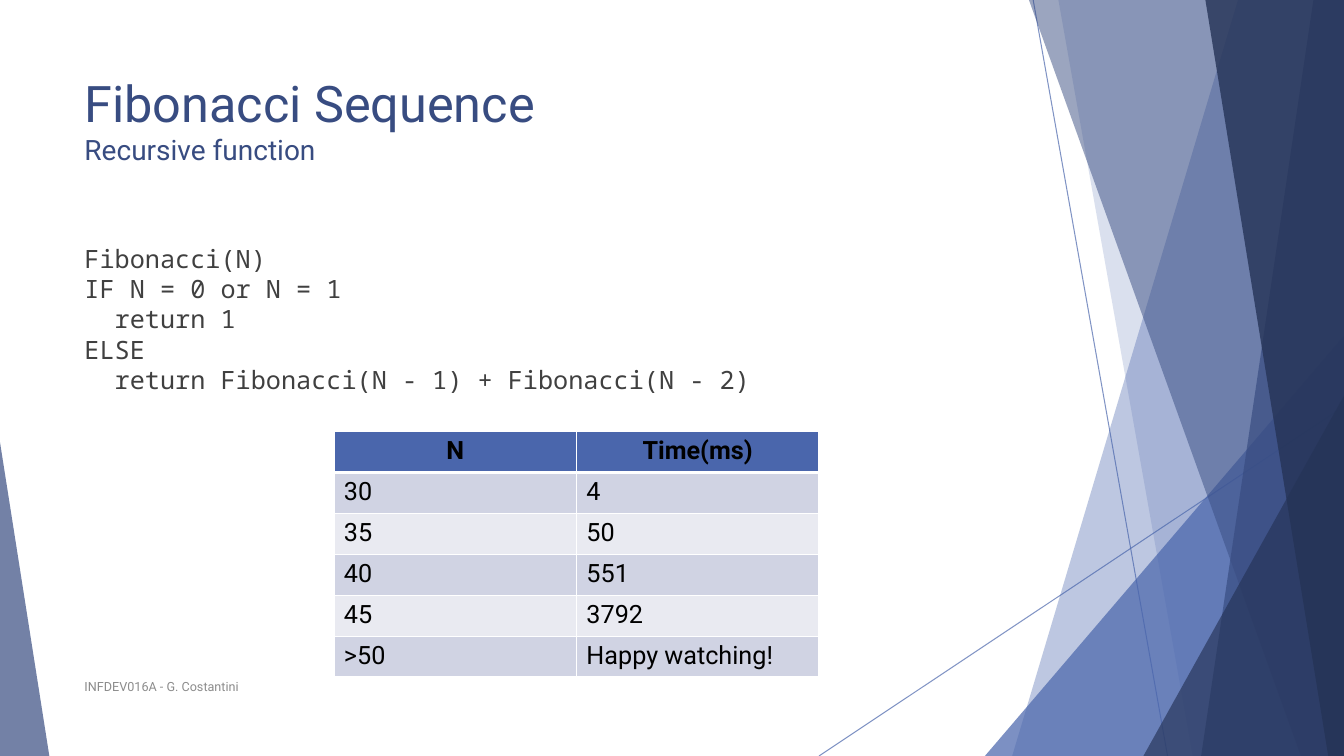
from dataclasses import dataclass

from lxml.etree import SubElement
from pptx import Presentation
from pptx.dml.color import RGBColor
from pptx.enum.shapes import MSO_CONNECTOR as Connector, MSO_SHAPE as Preset
from pptx.enum.text import MSO_ANCHOR as Anchor, PP_ALIGN as Align
from pptx.oxml.ns import qn
from pptx.util import Pt


@dataclass(frozen=True)
class Theme:
    accent: str = "4A66AC"
    dark: str = "384C81"
    deep: str = "253356"
    body: str = "404040"
    muted: str = "8C8C8C"
    black: str = "000000"
    white: str = "FFFFFF"
    bands: tuple = ("D0D3E3", "E9EAF1")
    sans: str = "Roboto"
    mono: str = "Noto Sans Mono"
    title_size: int = 36
    subtitle_size: int = 20
    text_size: int = 18
    footer_size: int = 9


theme = Theme()
PX = 9525
WIDTH, HEIGHT = 1280, 720

TITLE = [("Fibonacci Sequence", theme.title_size), ("Recursive function", theme.subtitle_size)]
CODE = [
    "Fibonacci(N)",
    "IF N = 0 or N = 1",
    "  return 1",
    "ELSE",
    "  return Fibonacci(N - 1) + Fibonacci(N - 2)",
]
FOOTER = "INFDEV016A - G. Costantini"
TIMINGS = [
    ("N", "Time(ms)"),
    ("30", "4"),
    ("35", "50"),
    ("40", "551"),
    ("45", "3792"),
    (">50", "Happy watching!"),
]
TEXTS = [
    ((71, 64, 902, 138), TITLE, theme.sans, theme.dark, Anchor.TOP),
    ((71, 227, 902, 407), [(line, theme.text_size) for line in CODE], theme.mono, theme.body, Anchor.TOP),
    ((71, 635, 661, 38), [(FOOTER, theme.footer_size)], theme.sans, theme.muted, Anchor.MIDDLE),
]
TABLE_LEFT, TABLE_TOP, COLUMN_WIDTH, ROW_HEIGHT = 318, 411, 231, 39

LINES = [(984, 0, 1112, HEIGHT), (WIDTH, 387, 780, HEIGHT)]
FACETS = [
    ("band", (1179, 964), theme.accent, 36),
    ("band", (1008, 1136), theme.accent, 20),
    ("triangle", (938, 320, 342, 400, 1), theme.accent, 72),
    ("band", (980, 1239), theme.dark, 50),
    ("band", (1251, 1144), theme.dark, 70),
    ("band", (1148, 1265), theme.deep, 80),
    ("triangle", (1089, 377, 191, 343, 1), theme.deep, 66),
    ("triangle", (0, 421, 47, 299, 0), theme.dark, 70),
]


def emu(*lengths):
    return [length * PX for length in lengths]


def rgb(value):
    return RGBColor.from_string(value)


def apply(target, values):
    for name, value in values.items():
        setattr(target, name, value)


def set_opacity(shape, percent):
    for color in shape._element.spPr.iter(qn("a:srgbClr")):
        SubElement(color, qn("a:alpha"), val=str(percent * 1000))


def add_line(slide, ends):
    line = slide.shapes.add_connector(Connector.STRAIGHT, *emu(*ends))
    line.line.color.rgb = rgb(theme.accent)
    line.line.width = Pt(0.75)
    set_opacity(line, 70)
    SubElement(line._element.spPr, qn("a:effectLst"))


def add_facet(slide, kind, geometry, color, opacity):
    if kind == "band":
        top_x, bottom_x = geometry
        builder = slide.shapes.build_freeform(top_x, 0, scale=PX)
        builder.add_line_segments([(WIDTH, 0), (WIDTH, HEIGHT), (bottom_x, HEIGHT)])
        shape = builder.convert_to_shape()
    else:
        *box, apex = geometry
        shape = slide.shapes.add_shape(Preset.ISOSCELES_TRIANGLE, *emu(*box))
        shape.adjustments[0] = apex
    shape.shadow.inherit = False
    shape.fill.solid()
    shape.fill.fore_color.rgb = rgb(color)
    shape.line.fill.background()
    set_opacity(shape, opacity)


def add_run(paragraph, text, color, **values):
    run = paragraph.add_run()
    run.text = text
    apply(run.font, values)
    run.font.color.rgb = rgb(color)


def add_text(slide, box, lines, font, color, anchor):
    frame = slide.shapes.add_textbox(*emu(*box)).text_frame
    apply(frame, {"word_wrap": True, "vertical_anchor": anchor})
    paragraph = frame.paragraphs[0]
    for index, (text, size) in enumerate(lines):
        if index:
            paragraph.add_line_break()
        add_run(paragraph, text, color, name=font, size=Pt(size))


def add_borders(cell, widths):
    properties = cell._tc.get_or_add_tcPr()
    for side, width in widths.items():
        border = SubElement(properties, qn(f"a:ln{side}"), w=str(Pt(width)))
        fill = SubElement(border, qn("a:solidFill"))
        SubElement(fill, qn("a:srgbClr"), val=theme.white)


def add_timings(slide):
    rows, columns = len(TIMINGS), len(TIMINGS[0])
    box = emu(TABLE_LEFT, TABLE_TOP, columns * COLUMN_WIDTH, rows * ROW_HEIGHT)
    table = slide.shapes.add_table(rows, columns, *box).table
    for row_index, values in enumerate(TIMINGS):
        header = row_index == 0
        color = theme.accent if header else theme.bands[(row_index - 1) % 2]
        borders = {"L": 1, "R": 1, "T": 3 if row_index == 1 else 1, "B": 3 if header else 1}
        for column_index, text in enumerate(values):
            cell = table.cell(row_index, column_index)
            add_borders(cell, borders)
            cell.fill.solid()
            cell.fill.fore_color.rgb = rgb(color)
            paragraph = cell.text_frame.paragraphs[0]
            paragraph.alignment = Align.CENTER if header else Align.LEFT
            add_run(paragraph, text, theme.black, name=theme.sans, size=Pt(theme.text_size), bold=header)


def main():
    presentation = Presentation()
    apply(presentation, {"slide_width": WIDTH * PX, "slide_height": HEIGHT * PX})
    slide = presentation.slides.add_slide(presentation.slide_layouts[6])
    for ends in LINES:
        add_line(slide, ends)
    for facet in FACETS:
        add_facet(slide, *facet)
    for text in TEXTS:
        add_text(slide, *text)
    add_timings(slide)
    presentation.save("out.pptx")


if __name__ == "__main__":
    main()
